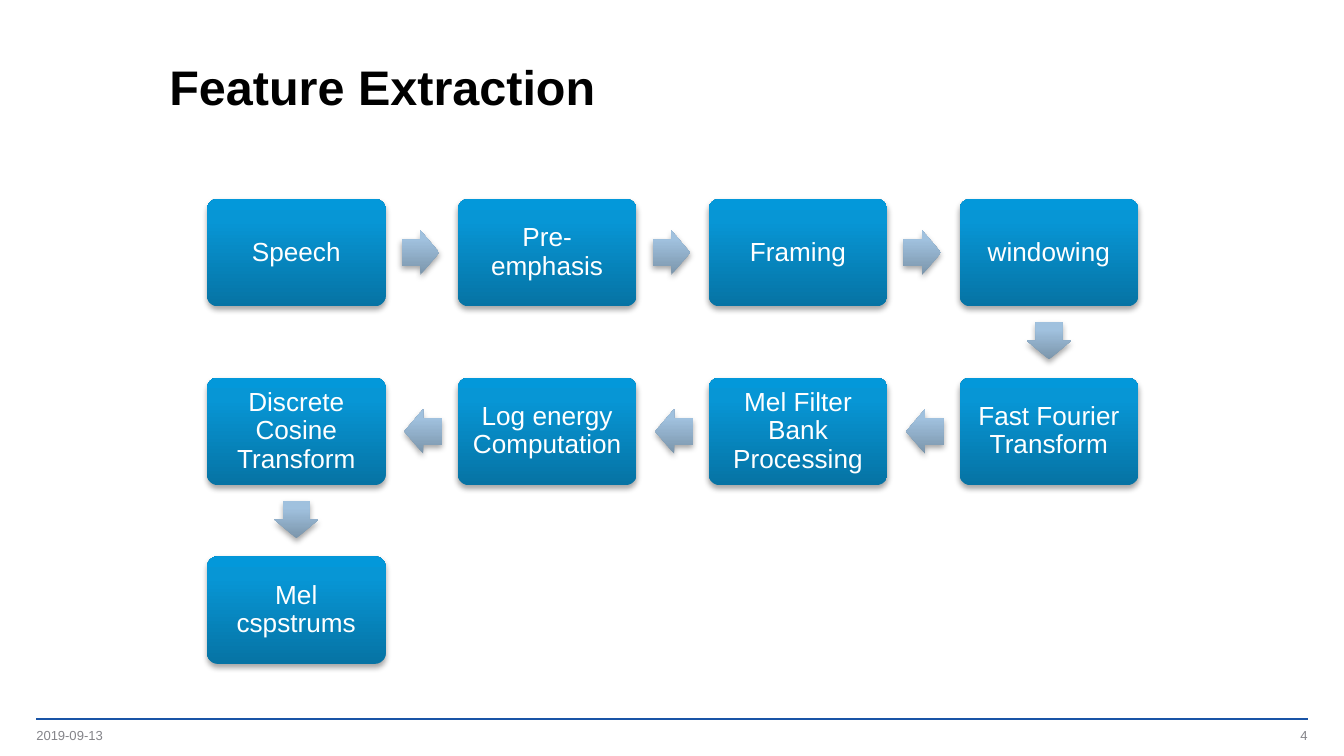
import pptx
import pptx.dml.color
import pptx.enum.shapes
import pptx.enum.text
import pptx.oxml
import pptx.oxml.ns
import pptx.util
import lxml.etree

# Widescreen slide, in inches
SLIDE_WIDTH = 10
SLIDE_HEIGHT = SLIDE_WIDTH * 9 / 16
FONT = "Arial"

# Flow grid, in inches
LEFT, TOP = 1.54, 1.48
RIGHT_COLUMN_LEFT = 7.14
COLUMN_STEP, ROW_STEP = (RIGHT_COLUMN_LEFT - LEFT) / 3, 1.33
BOX_WIDTH, BOX_HEIGHT = 1.33, 0.8
ARROW_LENGTH, ARROW_WIDTH = 0.28, 0.33
ARROW_SHIFT = 0.01  # arrows sit slightly towards the box they leave
MARGIN = 0.27
FOOTER_WIDTH = 2.25

BOX_COLOURS = ["0673A4", "0796D5", "0398DA"]
ARROW_COLOURS = ["7B95AB", "A0C1DE", "9FC2E0"]

# Steps in order, each with its column and row
STEPS = [
    ("Speech", 0, 0),
    ("Pre-emphasis", 1, 0),
    ("Framing", 2, 0),
    ("windowing", 3, 0),
    ("Fast Fourier Transform", 3, 1),
    ("Mel Filter Bank Processing", 2, 1),
    ("Log energy Computation", 1, 1),
    ("Discrete Cosine Transform", 0, 1),
    ("Mel cspstrums", 0, 2),
]
ROTATIONS = {(1, 0): 0, (0, 1): 90, (-1, 0): 180}


def inches(*lengths):
    return [pptx.util.Inches(length) for length in lengths]


def colour(hex_string):
    return pptx.dml.color.RGBColor.from_string(hex_string)


def add_text(text_frame, text, size, hex_string, align, bold=False):
    paragraph = text_frame.paragraphs[0]
    paragraph.alignment = align
    run = paragraph.add_run()
    run.text = text
    run.font.name = FONT
    run.font.size = pptx.util.Pt(size)
    run.font.bold = bold
    run.font.color.rgb = colour(hex_string)
    return paragraph


def set_insets(text_frame, inset):
    text_frame.margin_left = text_frame.margin_right = pptx.util.Inches(inset)
    text_frame.margin_top = text_frame.margin_bottom = pptx.util.Inches(inset)
    text_frame.vertical_anchor = pptx.enum.text.MSO_ANCHOR.MIDDLE


def style_shape(shape, colours):
    """Upright three-stop gradient, no outline and a soft shadow below."""
    shape.fill.background()
    shape.line.fill.background()
    shape.shadow.inherit = False
    properties = shape._element.spPr
    namespace = pptx.oxml.ns.nsdecls("a")
    stops = "".join(
        f'<a:gs pos="{position}"><a:srgbClr val="{stop}"/></a:gs>'
        for position, stop in zip((0, 80000, 100000), colours)
    )
    gradient = pptx.oxml.parse_xml(
        f'<a:gradFill {namespace} rotWithShape="0"><a:gsLst>{stops}</a:gsLst>'
        '<a:lin ang="16200000" scaled="0"/></a:gradFill>'
    )
    properties.replace(properties.find(pptx.oxml.ns.qn("a:noFill")), gradient)
    shadow = pptx.oxml.parse_xml(
        f'<a:outerShdw {namespace} blurRad="40000" dist="23000" dir="5400000" '
        'rotWithShape="0"><a:srgbClr val="000000"><a:alpha val="35000"/>'
        "</a:srgbClr></a:outerShdw>"
    )
    properties.find(pptx.oxml.ns.qn("a:effectLst")).append(shadow)


def add_step(slide, text, column, row):
    shape = slide.shapes.add_shape(
        pptx.enum.shapes.MSO_SHAPE.ROUNDED_RECTANGLE,
        *inches(LEFT + column * COLUMN_STEP, TOP + row * ROW_STEP, BOX_WIDTH, BOX_HEIGHT),
    )
    shape.adjustments[0] = 0.1
    style_shape(shape, BOX_COLOURS)
    set_insets(shape.text_frame, 0.08)
    shape.text_frame.word_wrap = True
    paragraph = add_text(shape.text_frame, text, 14, "FFFFFF", pptx.enum.text.PP_ALIGN.CENTER)
    paragraph.line_spacing = 0.9


def add_arrow(slide, start, end):
    """Block arrow halfway between two neighbouring grid cells."""
    (column, row), (next_column, next_row) = start, end
    across, down = next_column - column, next_row - row
    center_x = LEFT + BOX_WIDTH / 2 + (column + across / 2) * COLUMN_STEP - across * ARROW_SHIFT
    center_y = TOP + BOX_HEIGHT / 2 + (row + down / 2) * ROW_STEP - down * ARROW_SHIFT
    shape = slide.shapes.add_shape(
        pptx.enum.shapes.MSO_SHAPE.RIGHT_ARROW,
        *inches(center_x - ARROW_LENGTH / 2, center_y - ARROW_WIDTH / 2, ARROW_LENGTH, ARROW_WIDTH),
    )
    shape.adjustments[0], shape.adjustments[1] = 0.6, 0.5
    shape.rotation = ROTATIONS[across, down]
    style_shape(shape, ARROW_COLOURS)


def add_title(slide, text):
    title = slide.shapes.title
    title.left, title.top, title.width, title.height = inches(1.16, 0.28, 8.26, 0.74)
    title.text_frame.auto_size = pptx.enum.text.MSO_AUTO_SIZE.NONE
    title.text_frame.vertical_anchor = pptx.enum.text.MSO_ANCHOR.MIDDLE
    paragraph = add_text(title.text_frame, text, 26, "000000", pptx.enum.text.PP_ALIGN.LEFT, bold=True)
    paragraph.line_spacing = pptx.util.Pt(30)


def add_footer_rule(slide):
    rule = slide.shapes.add_connector(
        pptx.enum.shapes.MSO_CONNECTOR.STRAIGHT,
        *inches(MARGIN, 5.35, SLIDE_WIDTH - MARGIN, 5.35),
    )
    rule.line.color.rgb = colour("1954A6")
    rule.line.width = pptx.util.Pt(1)
    lxml.etree.SubElement(rule._element.spPr, pptx.oxml.ns.qn("a:effectLst"))


def add_footer_text(slide, text, left, align):
    box = slide.shapes.add_textbox(*inches(left, 5.41, FOOTER_WIDTH, 0.13))
    set_insets(box.text_frame, 0)
    box.text_frame.word_wrap = False
    add_text(box.text_frame, text, 7, "848489", align)


def main():
    presentation = pptx.Presentation()
    presentation.slide_width, presentation.slide_height = inches(SLIDE_WIDTH, SLIDE_HEIGHT)
    slide = presentation.slides.add_slide(presentation.slide_layouts[5])

    # Footer and title
    add_footer_rule(slide)
    add_title(slide, "Feature Extraction")
    add_footer_text(slide, "2019-09-13", MARGIN, pptx.enum.text.PP_ALIGN.LEFT)
    add_footer_text(slide, "4", SLIDE_WIDTH - MARGIN - FOOTER_WIDTH, pptx.enum.text.PP_ALIGN.RIGHT)

    # Flow of steps, with an arrow from each to the next
    for text, column, row in STEPS:
        add_step(slide, text, column, row)
    for (_, *start), (_, *end) in zip(STEPS, STEPS[1:]):
        add_arrow(slide, start, end)

    presentation.save("out.pptx")


if __name__ == "__main__":
    main()
